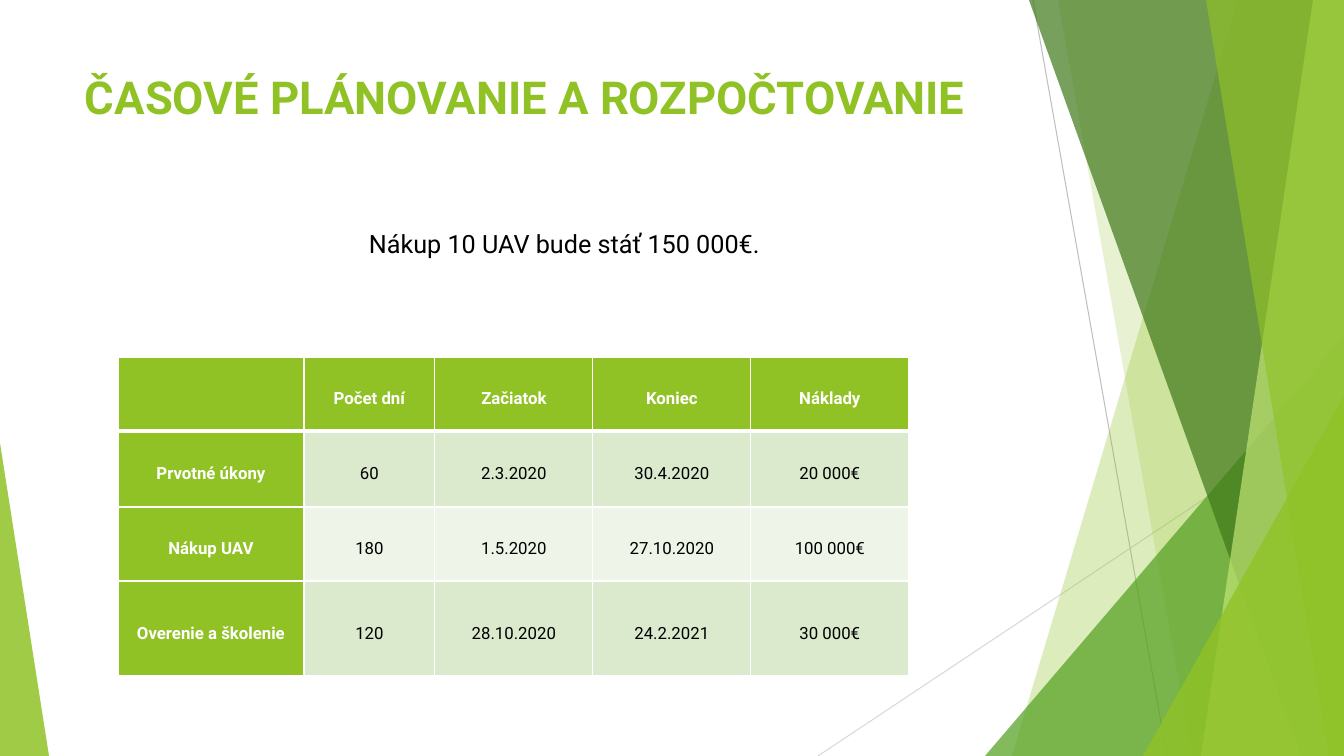
from lxml.etree import SubElement as sub
from pptx import Presentation
from pptx.dml.color import RGBColor
from pptx.enum.shapes import MSO_CONNECTOR as Link, MSO_SHAPE as Form
from pptx.enum.text import MSO_ANCHOR as Anchor, PP_ALIGN as Align
from pptx.oxml.ns import qn
from pptx.util import Emu, Pt

SCALE = 914400 / 100.8
WIDE, HIGH = 1344, 756
GREEN, WHITE, BLACK = "90C226", "FFFFFF", "000000"
BANDS = ["DBE9CD", "EEF4E8"]
COLS = [186, 131, 158, 158, 158]
ROWS = [74, 76, 74, 95]
PLAN = [
    ["", "Počet dní", "Začiatok", "Koniec", "Náklady"],
    ["Prvotné úkony", "60", "2.3.2020", "30.4.2020", "20 000€"],
    ["Nákup UAV", "180", "1.5.2020", "27.10.2020", "100 000€"],
    ["Overenie a školenie", "120", "28.10.2020", "24.2.2021", "30 000€"],
]
LINES = [
    ((1033, 0, 1167, HIGH), "BFBFBF"),
    ((WIDE, 406, 818, HIGH), "D9D9D9"),
]
FACETS = [
    ("free", (1238, 1012), GREEN, 30),
    ("free", (1058, 1192), GREEN, 20),
    ("tri", (985, 336, 359, 420, 1), "54A021", 72),
    ("free", (1029, 1301), "3F7819", 70),
    ("free", (1313, 1201), "C0E474", 70),
    ("free", (1206, 1329), GREEN, 65),
    ("tri", (1143, 396, 201, 360, 1), GREEN, 80),
    ("tri", (0, 443, 49, 313, 0), GREEN, 85),
]


def px(num):
    """Turn pixels into EMU."""
    return Emu(round(num * SCALE))


def tint(code):
    """Turn a hex string into a colour."""
    return RGBColor.from_string(code)


def put(item, vals):
    """Set each named value on an object."""
    for name, val in vals.items():
        setattr(item, name, val)


def paint(shape, code, alpha):
    """Fill a shape with a see-through colour and no outline."""
    shape.shadow.inherit = False
    shape.line.fill.background()
    shape.fill.solid()
    shape.fill.fore_color.rgb = tint(code)
    node = shape.fill._xPr.find(qn("a:solidFill"))[0]
    sub(node, qn("a:alpha")).set("val", str(alpha * 1000))


def draw_line(slide, ends, code):
    """Draw a thin straight line."""
    line = slide.shapes.add_connector(Link.STRAIGHT, *map(px, ends))
    line.line.color.rgb = tint(code)
    line.line.width = Pt(0.75)
    sub(line._element.spPr, qn("a:effectLst"))


def draw_free(slide, top, foot):
    """Outline a facet from its slanted left edge to the slide's right side."""
    form = slide.shapes.build_freeform(top, 0, scale=SCALE)
    form.add_line_segments([(WIDE, 0), (WIDE, HIGH), (foot, HIGH)], close=True)
    return form.convert_to_shape()


def draw_tri(slide, left, top, wide, high, tip):
    """Draw a triangle whose tip sits at one end of its base."""
    box = map(px, (left, top, wide, high))
    shape = slide.shapes.add_shape(Form.ISOSCELES_TRIANGLE, *box)
    shape.adjustments[0] = tip
    return shape


def write(frame, text, size, code, bold, form):
    """Write one formatted paragraph."""
    para = frame.paragraphs[0]
    put(para, form)
    run = para.add_run()
    run.text = text
    put(run.font, {"name": "Roboto", "size": Pt(size), "bold": bold})
    run.font.color.rgb = tint(code)


def add_text(slide, box, wrap, *style):
    """Add a text box."""
    frame = slide.shapes.add_textbox(*map(px, box)).text_frame
    put(frame, {"word_wrap": wrap, "vertical_anchor": Anchor.TOP})
    write(frame, *style)


def edge(cell, side, width):
    """Give a cell a white border on one side."""
    line = sub(cell._tc.get_or_add_tcPr(), qn("a:ln" + side))
    line.set("w", str(Pt(width)))
    sub(sub(line, qn("a:solidFill")), qn("a:srgbClr")).set("val", WHITE)


def fill_cell(cell, text, row, head):
    """Style and fill one table cell."""
    put(cell, {"vertical_anchor": Anchor.MIDDLE, "margin_left": px(7),
               "margin_right": px(7), "margin_top": 0, "margin_bottom": 0})
    for side in "LRTB":
        thick = (row, side) in [(0, "B"), (1, "T")]
        edge(cell, side, 3 if thick else 1)
    cell.fill.solid()
    cell.fill.fore_color.rgb = tint(GREEN if head else BANDS[(row - 1) % 2])
    if text:
        write(cell.text_frame, text, 12, WHITE if head else BLACK, head,
              {"alignment": Align.CENTER, "line_spacing": 1.5})


def add_plan(slide):
    """Add the table of dates and costs."""
    box = map(px, (118, 357, sum(COLS), sum(ROWS)))
    table = slide.shapes.add_table(len(ROWS), len(COLS), *box).table
    put(table, {"first_col": True, "horz_banding": False})
    for col, wide in zip(table.columns, COLS):
        col.width = px(wide)
    for row, high in zip(table.rows, ROWS):
        row.height = px(high)
    for i, texts in enumerate(PLAN):
        for j, text in enumerate(texts):
            fill_cell(table.cell(i, j), text, i, i == 0 or j == 0)


def main():
    """Build and save the slide."""
    deck = Presentation()
    put(deck, {"slide_width": px(WIDE), "slide_height": px(HIGH)})
    slide = deck.slides.add_slide(deck.slide_layouts[6])
    for ends, code in LINES:
        draw_line(slide, ends, code)
    draw = {"free": draw_free, "tri": draw_tri}
    for kind, place, code, alpha in FACETS:
        paint(draw[kind](slide, *place), code, alpha)
    add_text(slide, (75, 68, 948, 145), True,
             "ČASOVÉ PLÁNOVANIE A ROZPOČTOVANIE", 32.4, GREEN, True,
             {"line_spacing": 0.95})
    add_plan(slide)
    add_text(slide, (359, 223, 413, 72), False,
             "Nákup 10 UAV bude stáť 150 000€.", 18, BLACK, False, {})
    deck.save("out.pptx")


if __name__ == "__main__":
    main()
